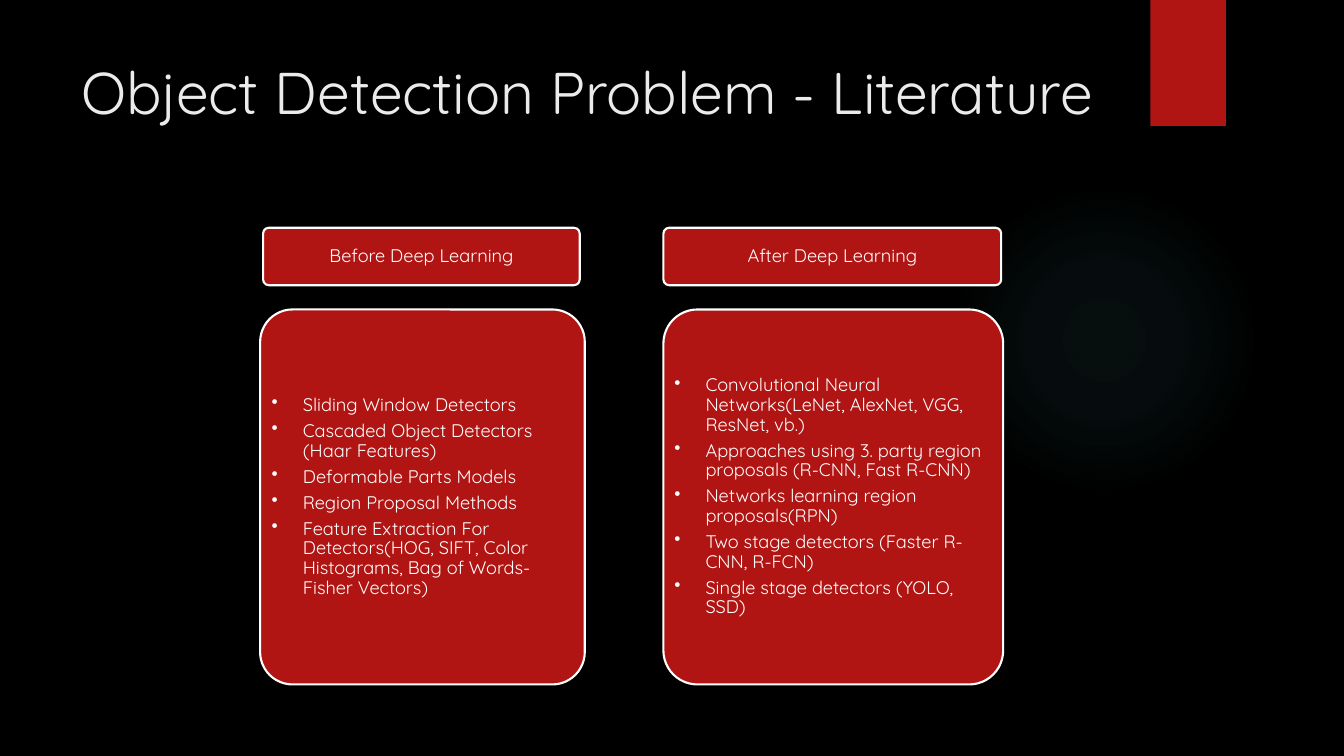
import dataclasses

import pptx
import pptx.dml.color
import pptx.enum.shapes
import pptx.enum.text
import pptx.oxml
import pptx.oxml.ns
import pptx.util

EMU_PER_PX = 9144  # 100 px to the inch
SHAPES = pptx.enum.shapes.MSO_SHAPE
ALIGN = pptx.enum.text.PP_ALIGN
ANCHOR = pptx.enum.text.MSO_ANCHOR


@dataclasses.dataclass(frozen=True)
class Theme:
    background: str = "000000"
    accent: str = "B01513"
    glow: str = "50B9C1"
    title: str = "EBEBEB"
    text: str = "FFFFFF"
    font: str = "Quicksand"
    title_size: int = 42
    body_size: int = 13
    border: float = 1.5


THEME = Theme()

BEFORE = [
    "Sliding Window Detectors",
    "Cascaded Object Detectors (Haar Features)",
    "Deformable Parts Models",
    "Region Proposal Methods",
    "Feature Extraction For Detectors(HOG, SIFT, Color Histograms, "
    "Bag of Words-Fisher Vectors)",
]
AFTER = [
    "Convolutional Neural Networks(LeNet, AlexNet, VGG, ResNet, vb.)",
    "Approaches using 3. party region proposals (R-CNN, Fast R-CNN)",
    "Networks learning region proposals(RPN)",
    "Two stage detectors (Faster R-CNN, R-FCN)",
    "Single stage detectors (YOLO, SSD)",
]


def px(length):
    return pptx.util.Emu(length * EMU_PER_PX)


def rgb(color):
    return pptx.dml.color.RGBColor.from_string(color)


def add_bullet(paragraph, indent=31):
    properties = paragraph._p.get_or_add_pPr()
    properties.set("marL", str(px(indent)))
    properties.set("indent", str(-px(indent)))
    properties.append(pptx.oxml.parse_xml(
        f'<a:buChar {pptx.oxml.ns.nsdecls("a")} char="•"/>'))


def write_text(frame, lines, size=THEME.body_size, color=THEME.text,
               align=ALIGN.LEFT, anchor=ANCHOR.MIDDLE, bullets=False,
               line_spacing=0.9, space_after=4.5, margins=(5, 5)):
    frame.word_wrap = True
    frame.vertical_anchor = anchor
    frame.margin_left = frame.margin_right = px(margins[0])
    frame.margin_top = frame.margin_bottom = px(margins[1])
    for index, line in enumerate(lines):
        paragraph = frame.add_paragraph() if index else frame.paragraphs[0]
        if bullets:
            add_bullet(paragraph)
        paragraph.text = line
        paragraph.alignment = align
        paragraph.line_spacing = line_spacing
        paragraph.space_after = pptx.util.Pt(space_after)
        paragraph.font.name = THEME.font
        paragraph.font.size = pptx.util.Pt(size)
        paragraph.font.color.rgb = rgb(color)


def add_block(slide, kind, left, top, width, height):
    shape = slide.shapes.add_shape(
        kind, px(left), px(top), px(width), px(height))
    shape.shadow.inherit = False
    shape.fill.solid()
    shape.fill.fore_color.rgb = rgb(THEME.accent)
    shape.line.fill.background()
    return shape


def add_glow(slide, left, top, diameter):
    glow = add_block(slide, SHAPES.OVAL, left, top, diameter, diameter)
    stops = "".join(
        f'<a:gs pos="{position * 1000}"><a:srgbClr val="{THEME.glow}">'
        f'<a:alpha val="{alpha * 1000}"/></a:srgbClr></a:gs>'
        for position, alpha in ((0, 7), (36, 6), (69, 0)))
    gradient = pptx.oxml.parse_xml(
        f'<a:gradFill {pptx.oxml.ns.nsdecls("a")}><a:gsLst>{stops}</a:gsLst>'
        '<a:path path="circle"><a:fillToRect l="50000" t="50000" '
        'r="50000" b="50000"/></a:path></a:gradFill>')
    properties = glow._element.spPr
    properties.replace(
        properties.find(pptx.oxml.ns.qn("a:solidFill")), gradient)


def add_card(slide, left, top, width, height, lines, **text_format):
    card = add_block(
        slide, SHAPES.ROUNDED_RECTANGLE, left, top, width, height)
    card.adjustments[0] = 0.1
    card.line.color.rgb = rgb(THEME.text)
    card.line.width = pptx.util.Pt(THEME.border)
    # The rounded corners already inset the text by 0.29 of their radius
    side = 11 - round(0.029 * min(width, height))
    write_text(card.text_frame, lines, margins=(side, 5), **text_format)


def main():
    presentation = pptx.Presentation()
    presentation.slide_width = px(1333)
    presentation.slide_height = px(750)
    slide = presentation.slides.add_slide(presentation.slide_layouts[6])

    # Background, glow and ribbon
    slide.background.fill.solid()
    slide.background.fill.fore_color.rgb = rgb(THEME.background)
    add_glow(slide, 941, 183, 308)
    add_block(slide, SHAPES.RECTANGLE, 1141, 0, 75, 125)

    # Title
    title = slide.shapes.add_textbox(px(71), px(50), px(1029), px(153))
    write_text(title.text_frame, ["Object Detection Problem - Literature"],
               size=THEME.title_size, color=THEME.title, anchor=ANCHOR.TOP,
               line_spacing=1.0, space_after=0, margins=(10, 5))

    # Two columns: heading above a list of methods
    columns = [
        ("Before Deep Learning", (261, 314), BEFORE, (258, 322)),
        ("After Deep Learning", (658, 335), AFTER, (658, 337)),
    ]
    for heading, (head_left, head_width), methods, (left, width) in columns:
        add_card(slide, left, 307, width, 372, methods, bullets=True)
        add_card(slide, head_left, 226, head_width, 57, [heading],
                 align=ALIGN.CENTER)

    presentation.save("out.pptx")


if __name__ == "__main__":
    main()
